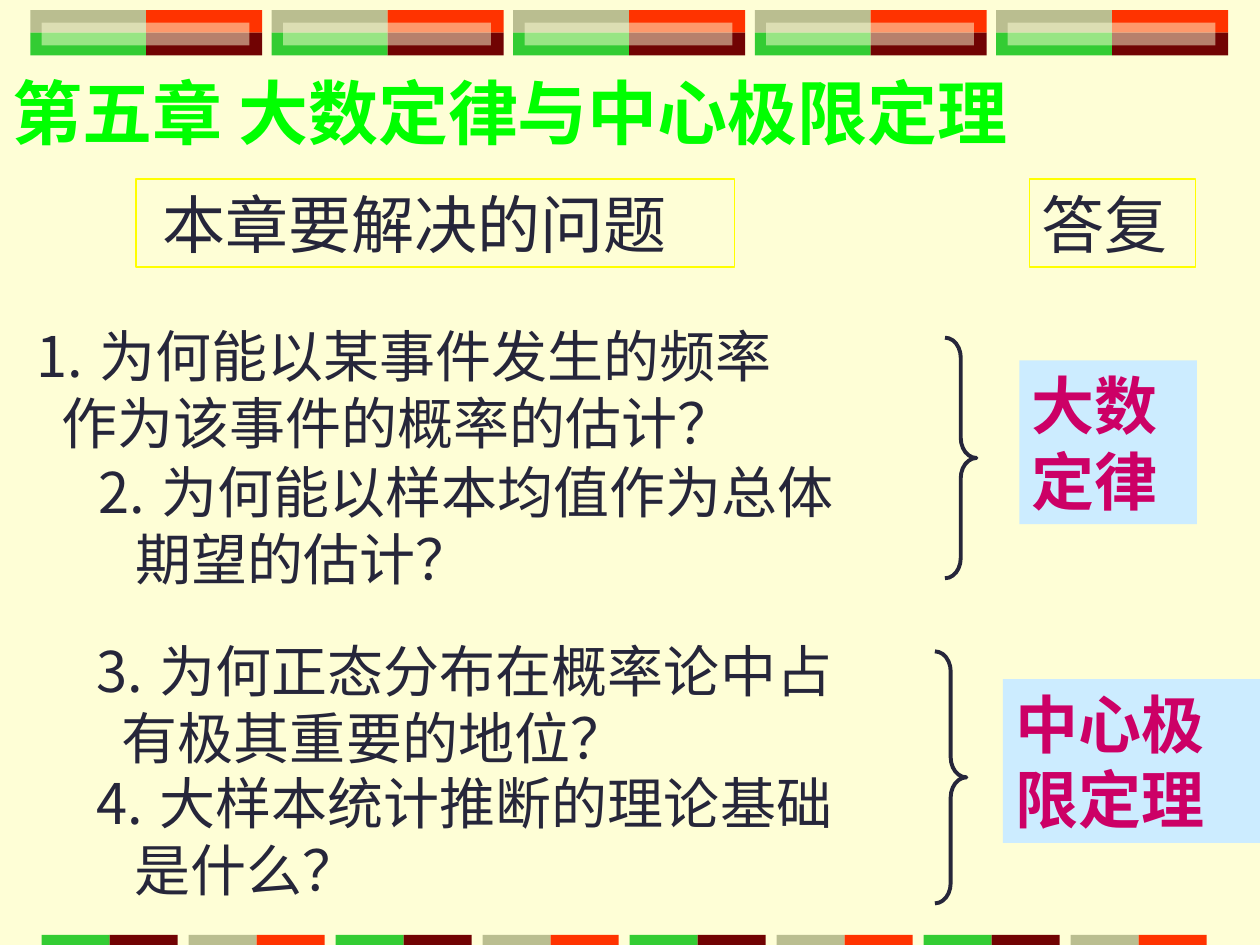
from lxml.etree import SubElement as Sub
from pptx import Presentation
from pptx.dml.color import RGBColor as RGB
from pptx.enum.shapes import MSO_SHAPE as Kind
from pptx.enum.text import MSO_ANCHOR as Anchor, MSO_AUTO_SIZE as Fit, PP_ALIGN as Align
from pptx.oxml.ns import qn
from pptx.util import Inches, Pt

FACE = "Noto Sans CJK SC"
COLORS = {
    "page": "FEFED6", "red": "FF3300", "wine": "710303", "green": "33CC33",
    "khaki": "BABE90", "title": "00FF00", "ink": "26263A", "frame": "FFFF00",
    "sky": "CCECFF", "pink": "CC0066",
}


def tint(name):
    return RGB.from_string(COLORS[name])


def draw(shapes, kind, box, fill=None, line=None, width=0.75):
    shape = shapes.add_shape(kind, *map(Inches, box))
    shape.shadow.inherit = False
    if fill:
        shape.fill.solid()
        shape.fill.fore_color.rgb = tint(fill)
    else:
        shape.fill.background()
    if line:
        shape.line.color.rgb = tint(line)
        shape.line.width = Pt(width)
    else:
        shape.line.fill.background()
    return shape


def write(shape, lines, size, color, bold=False, start=None, indent=0):
    """Write lines; start numbers the first one, indent moves the others."""
    frame = shape.text_frame
    form = {
        "word_wrap": True, "auto_size": Fit.NONE, "vertical_anchor": Anchor.TOP,
        "margin_left": Inches(0.1), "margin_right": Inches(0.1),
        "margin_top": Inches(0.05), "margin_bottom": Inches(0.05),
    }
    for key, value in form.items():
        setattr(frame, key, value)
    for i, line in enumerate(lines):
        para = frame.paragraphs[0] if i == 0 else frame.add_paragraph()
        props = para._p.get_or_add_pPr()
        if start and i == 0:
            props.set("marL", str(Inches(0.5)))
            props.set("indent", str(-Inches(0.5)))
            Sub(Sub(props, qn("a:buClr")), qn("a:srgbClr"), val=COLORS[color])
            Sub(props, qn("a:buAutoNum"), type="arabicPeriod", startAt=str(start))
        else:
            props.set("marL", str(Inches(indent)))
            props.set("indent", "0")
        look = {"alignment": Align.LEFT, "line_spacing": Pt(size * 1.2),
                "space_before": Pt(0), "space_after": Pt(0)}
        for key, value in look.items():
            setattr(para, key, value)
        run = para.add_run()
        run.text = line
        style = {"name": FACE, "size": Pt(size), "bold": bold}
        for key, value in style.items():
            setattr(run.font, key, value)
        run.font.color.rgb = tint(color)
        Sub(run._r.get_or_add_rPr(), qn("a:ea"), typeface=FACE)


def add_tile(shapes, x, y):
    """Four coloured quarters under a half-clear bar."""
    group = shapes.add_group_shape().shapes
    wide, high = 0.92, 0.18
    for i, name in enumerate(("khaki", "red", "green", "wine")):
        row, col = divmod(i, 2)
        draw(group, Kind.RECTANGLE, (x + col * wide, y + row * high, wide, high), name)
    bar = draw(group, Kind.RECTANGLE, (x + 0.09, y + 0.1, 1.65, high), "page")
    Sub(bar.fill._xPr.find(".//" + qn("a:srgbClr")), qn("a:alpha"), val="50000")


def add_bands(shapes):
    # Top tiles
    for i in range(5):
        add_tile(shapes, 0.24 + i * 23 / 12, 0.08)
    # Bottom strip
    pairs = (("green", "wine"), ("khaki", "red"))
    for i in range(8):
        for j, name in enumerate(pairs[i % 2]):
            box = (0.33 + i * 7 / 6 + j * 0.54, 7.42, 0.54, 0.08)
            draw(shapes, Kind.RECTANGLE, box, name)


def add_title(slide, box, text):
    title = slide.shapes.title
    title.left, title.top, title.width, title.height = map(Inches, box)
    write(title, [text], 40, "title", bold=True)


def add_head(shapes, box, text, indent=0):
    head = draw(shapes, Kind.RECTANGLE, box, line="frame")
    write(head, [text], 36, "ink", indent=indent)


def add_item(shapes, box, num, lines, indent):
    item = shapes.add_textbox(*map(Inches, box))
    write(item, lines, 32, "ink", start=num, indent=indent)


def add_reply(shapes, brace, box, lines):
    curve = draw(shapes, Kind.RIGHT_BRACE, brace, line="ink", width=2.25)
    curve.adjustments[0] = 0.64
    curve.adjustments[1] = 0.5
    write(draw(shapes, Kind.RECTANGLE, box, "sky"), lines, 36, "pink", bold=True)


def main():
    deck = Presentation()
    deck.slide_width, deck.slide_height = Inches(10), Inches(7.5)
    slide = deck.slides.add_slide(deck.slide_layouts[5])
    slide.background.fill.solid()
    slide.background.fill.fore_color.rgb = tint("page")
    shapes = slide.shapes
    add_bands(shapes)
    add_title(slide, (0, 0.5, 10, 0.77), "第五章 大数定律与中心极限定理")

    # Column heads
    add_head(shapes, (1.08, 1.42, 4.75, 0.7), "本章要解决的问题", 0.11)
    add_head(shapes, (8.17, 1.42, 1.32, 0.7), "答复")

    # Questions
    items = (
        (0.19, 2.5, 0.2, "为何能以某事件发生的频率", "作为该事件的概率的估计？"),
        (0.68, 3.58, 0.3, "为何能以样本均值作为总体", "期望的估计？"),
        (0.67, 5, 0.2, "为何正态分布在概率论中占", "有极其重要的地位？"),
        (0.67, 6.05, 0.3, "大样本统计推断的理论基础", "是什么？"),
    )
    for num, (x, y, indent, *lines) in enumerate(items, 1):
        add_item(shapes, (x, y, 6.5, 1.17), num, lines, indent)

    # Replies
    add_reply(shapes, (7.5, 2.68, 0.25, 1.91), (8.09, 2.86, 1.41, 1.3), ("大数", "定律"))
    add_reply(shapes, (7.42, 5.17, 0.25, 2), (7.96, 5.39, 2.04, 1.3), ("中心极", "限定理"))
    deck.save("out.pptx")


if __name__ == "__main__":
    main()
